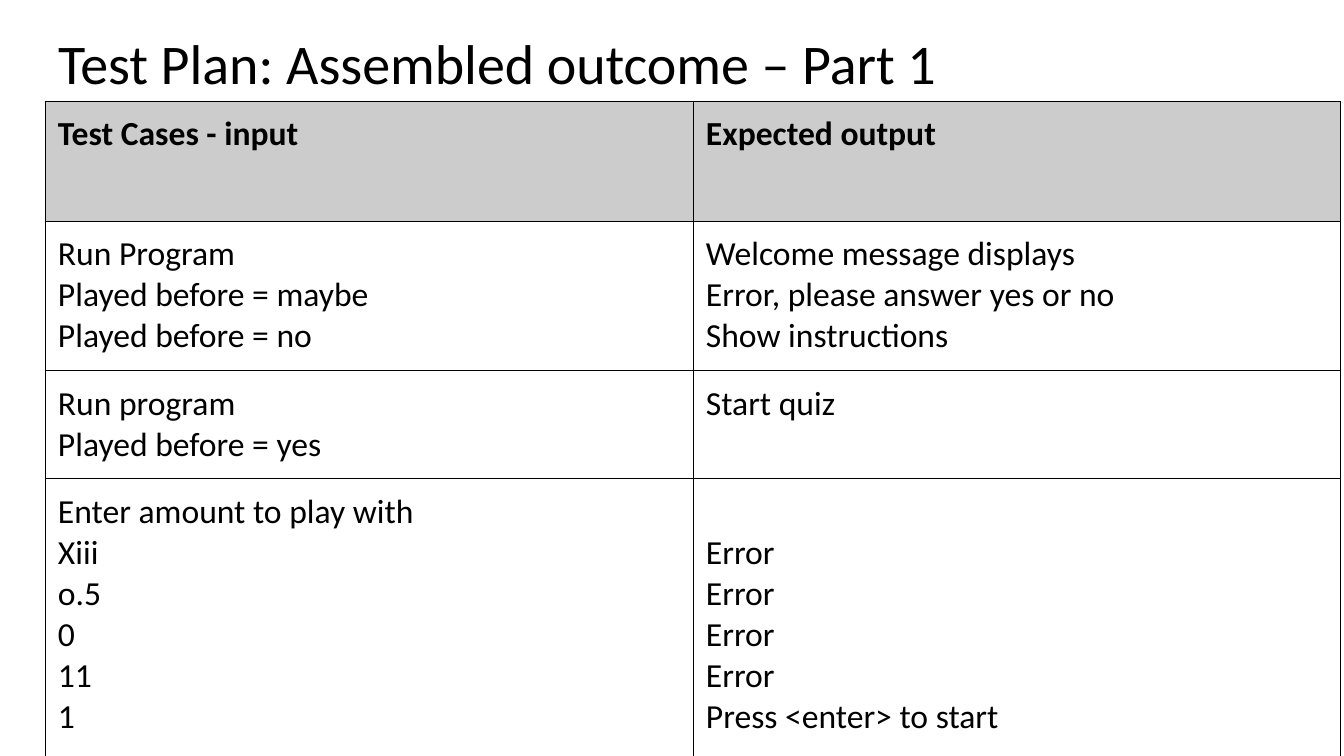
from dataclasses import dataclass

from lxml.etree import SubElement
from pptx import Presentation
from pptx.dml.color import RGBColor
from pptx.enum.text import MSO_ANCHOR, MSO_AUTO_SIZE, PP_ALIGN
from pptx.oxml.ns import qn
from pptx.util import Pt

# Content: input lines, expected output lines
TITLE = "Test Plan: Assembled outcome – Part 1"
HEADINGS = (["Test Cases - input"], ["Expected output"])
TEST_CASES = [
    (
        ["Run Program", "Played before = maybe", "Played before = no"],
        ["Welcome message displays", "Error, please answer yes or no",
         "Show instructions"],
    ),
    (["Run program", "Played before = yes"], ["Start quiz"]),
    (
        ["Enter amount to play with", "Xiii", "o.5", "0", "11", "1"],
        ["Error", "Error", "Error", "Error", "Press <enter> to start"],
    ),
]


@dataclass(frozen=True)
class Theme:
    font: str = "Calibri"
    text: RGBColor = RGBColor(0, 0, 0)
    header: RGBColor = RGBColor(0xCC, 0xCC, 0xCC)
    border: str = "000000"
    border_width: float = 0.75
    title_size: int = 40
    body_size: int = 24


THEME = Theme()

# Layout in px
SLIDE_WIDTH, SLIDE_HEIGHT = 1344, 756
LEFT = 45
TITLE_BOX = (LEFT, 24, 1252, 85)
TABLE_TOP = 101
COLUMN_WIDTH = 648
ROW_HEIGHTS = (120, 150, 108, 308)
INSET = 13
LINE_HEIGHT = 41


def px(length):
    return round(length * 914400 / 100.8)


def style_text(paragraphs, size, bold=False):
    for paragraph in paragraphs:
        paragraph.alignment = PP_ALIGN.LEFT
        for run in paragraph.runs:
            run.font.name = THEME.font
            run.font.size = Pt(size)
            run.font.bold = bold
            run.font.color.rgb = THEME.text


def set_insets(box, top=INSET):
    box.margin_left = box.margin_right = box.margin_bottom = px(INSET)
    box.margin_top = px(top)


def add_borders(cell):
    properties = cell._tc.get_or_add_tcPr()
    for position, side in enumerate(("lnL", "lnR", "lnT", "lnB")):
        line = SubElement(properties, qn(f"a:{side}"),
                          w=str(Pt(THEME.border_width)))
        fill = SubElement(line, qn("a:solidFill"))
        SubElement(fill, qn("a:srgbClr"), val=THEME.border)
        properties.insert(position, line)


def add_title(slide):
    title = slide.shapes.title
    title.left, title.top, title.width, title.height = map(px, TITLE_BOX)
    frame = title.text_frame
    frame.text = TITLE
    frame.word_wrap = True
    frame.auto_size = MSO_AUTO_SIZE.NONE
    frame.vertical_anchor = MSO_ANCHOR.MIDDLE
    set_insets(frame)
    frame.paragraphs[0].line_spacing = 0.9
    style_text(frame.paragraphs, THEME.title_size)


def add_test_table(slide):
    rows = [HEADINGS, *TEST_CASES]
    columns = len(HEADINGS)
    table = slide.shapes.add_table(
        len(rows), columns, px(LEFT), px(TABLE_TOP),
        px(columns * COLUMN_WIDTH), px(sum(ROW_HEIGHTS))).table
    table.first_row = table.horz_banding = False
    for column in table.columns:
        column.width = px(COLUMN_WIDTH)

    for r, (entries, height) in enumerate(zip(rows, ROW_HEIGHTS)):
        table.rows[r].height = px(height)
        is_header = r == 0
        for c, lines in enumerate(entries):
            cell = table.cell(r, c)
            cell.text_frame.text = "\n".join(lines)
            cell.vertical_anchor = MSO_ANCHOR.TOP
            # The amount prompt has no output, so its answers start a line lower
            skips_prompt = c == 1 and 1 < len(lines) < len(entries[0])
            set_insets(cell, INSET + LINE_HEIGHT * skips_prompt)
            style_text(cell.text_frame.paragraphs, THEME.body_size, is_header)
            if is_header:
                cell.fill.solid()
                cell.fill.fore_color.rgb = THEME.header
            else:
                cell.fill.background()
            add_borders(cell)


def main():
    deck = Presentation()
    deck.slide_width, deck.slide_height = px(SLIDE_WIDTH), px(SLIDE_HEIGHT)
    slide = deck.slides.add_slide(deck.slide_layouts[5])
    add_title(slide)
    add_test_table(slide)
    deck.save("out.pptx")


if __name__ == "__main__":
    main()
